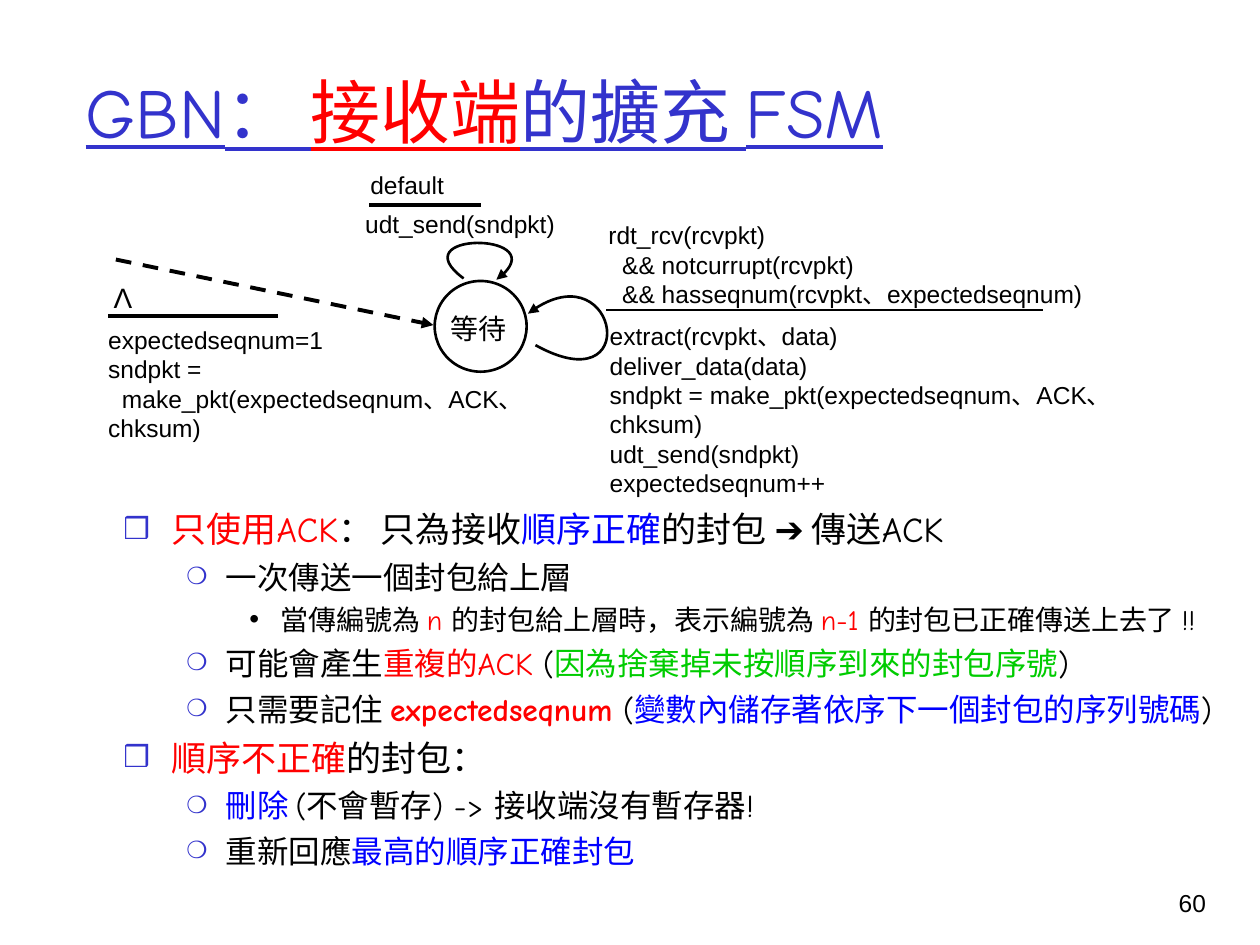
"""Build the slide on the receiver side of the GBN state machine."""
from typing import NamedTuple

from lxml import etree
from pptx import Presentation
from pptx import util as u
from pptx.dml.color import RGBColor
from pptx.enum import dml, shapes, text
from pptx.oxml import ns

BLACK, RED, BLUE, GREEN, NAVY = "000000", "FF0000", "0000FF", "00CC00", "3333CC"
HAND, SANS = "Comic Neue", "Arial"
LEFT, MID, RIGHT = text.PP_ALIGN.LEFT, text.PP_ALIGN.CENTER, text.PP_ALIGN.RIGHT


class Span(NamedTuple):
    words: str
    hue: str = BLACK
    bold: bool = False
    face: str = ""


class Level(NamedTuple):
    size: int
    left: float
    hang: float
    gap: float
    mark: str
    hue: str
    scale: int


class Item(NamedTuple):
    level: int
    spans: list[Span]


class Label(NamedTuple):
    box: tuple[float, float, float, float]
    lines: list[str]
    size: int = 14
    align: text.PP_ALIGN = LEFT
    wrap: bool = True
    inset: tuple[int, ...] = ()


class Rule(NamedTuple):
    start: tuple[float, float]
    end: tuple[float, float]
    width: float = 2.25
    arrow: bool = False


class Loop(NamedTuple):
    start: tuple[float, float]
    bends: list[tuple[float, float]]


LEVELS = [
    Level(20, 0.38, 0.38, 5, "❒", NAVY, 85),
    Level(18, 0.81, 0.31, 4.5, "❍", NAVY, 75),
    Level(16, 1.25, 0.25, 4, "•", BLACK, 100),
]
TITLE = [Span("GBN： ", NAVY), Span("接收端", RED), Span("的擴充 FSM", NAVY)]
ITEMS = [
    Item(0, [Span("只使用ACK", RED), Span("： 只為接收"), Span("順序正確", BLUE),
             Span("的封包 "), Span("➔ ", face=SANS), Span("傳送ACK")]),
    Item(1, [Span("一次傳送一個封包給上層")]),
    Item(2, [Span("當傳編號為 "), Span("n ", RED), Span("的封包給上層時，表示編號為 "),
             Span("n-1 ", RED), Span("的封包已正確傳送上去了 !!")]),
    Item(1, [Span("可能會產生"), Span("重複的ACK", RED), Span(" ("),
             Span("因為捨棄掉未按順序到來的封包序號", GREEN), Span(")")]),
    Item(1, [Span("只需要記住 "), Span("expectedseqnum", RED, True), Span(" ("),
             Span("變數內儲存著依序下一個封包的序列號碼", BLUE), Span(")")]),
    Item(0, [Span("順序不正確", RED), Span("的封包：")]),
    Item(1, [Span("刪除 ", BLUE), Span("(不會暫存) -> 接收端沒有暫存器!")]),
    Item(1, [Span("重新回應"), Span("最高的順序正確封包", BLUE)]),
]
LABELS = [
    Label((3.36, 2.42, 0.87, 0.26), ["等待"], 16, MID),
    Label((2.8, 1.61, 1.77, 0.34), ["udt_send(sndpkt)"]),
    Label((2.84, 1.3, 0.79, 0.27), ["default"]),
    Label((4.73, 1.7, 4.61, 0.62),
          ["rdt_rcv(rcvpkt)", "&& notcurrupt(rcvpkt)",
           "&& hasseqnum(rcvpkt、expectedseqnum)"], inset=(1, 2)),
    Label((4.74, 2.5, 4.72, 0.94),
          ["extract(rcvpkt、data)", "deliver_data(data)",
           "sndpkt = make_pkt(expectedseqnum、ACK、chksum)",
           "udt_send(sndpkt)", "expectedseqnum++"]),
    Label((0.76, 2.53, 3.98, 1.07),
          ["expectedseqnum=1", "sndpkt =",
           "make_pkt(expectedseqnum、ACK、chksum)"], inset=(2,)),
    Label((0.8, 2.18, 0.35, 0.37), ["Λ"], 16, MID, False),
    Label((8.93, 7, 0.74, 0.5), ["60"], 14, RIGHT),
]
RULES = [
    Rule((0.92, 2.06), (3.44, 2.58), arrow=True),
    Rule((2.93, 1.63), (3.82, 1.63)),
    Rule((4.81, 2.46), (8.28, 2.46), 1.5),
    Rule((0.86, 2.51), (2.21, 2.51)),
]
LOOPS = [
    Loop((4.25, 2.74), [(5.1, 3.21), (4.9, 1.95), (4.19, 2.49)]),
    Loop((3.68, 2.21), [(3.18, 1.84), (4.45, 1.84), (3.94, 2.22)]),
]


def tint(target, hue: str) -> None:
    """Colour a font, or a fill that is already solid."""
    color = target.color if hasattr(target, "color") else target.fore_color
    color.rgb = RGBColor.from_string(hue)


def place(shape, box: tuple) -> None:
    """Move and size a shape."""
    shape.left, shape.top, shape.width, shape.height = map(u.Inches, box)


def sub(node, tag: str, **attrs: str):
    """Append a drawing element."""
    return etree.SubElement(node, ns.qn(f"a:{tag}"), attrs)


def ink(shape, width: float, arrow: bool = False) -> None:
    """Give a black outline and maybe an arrowhead."""
    tint(shape.line.fill if shape.line.fill.solid() else shape.line, BLACK)
    shape.line.width = u.Pt(width)
    if arrow:
        sub(shape.line._get_or_add_ln(), "tailEnd", type="triangle")


def write(par, spans: list[Span], size: int) -> None:
    """Fill a paragraph with coloured runs."""
    par.font.size, par.font.name = u.Pt(size), HAND
    for span in spans:
        run = par.add_run()
        run.text = span.words
        tint(run.font, span.hue)
        if span.bold:
            run.font.bold = True
        if span.face:
            run.font.name = span.face


def draw_list(frame, items: list[Item]) -> None:
    """Write the bulleted list."""
    frame.auto_size = text.MSO_AUTO_SIZE.NONE
    for i, item in enumerate(items):
        par = frame.add_paragraph() if i else frame.paragraphs[0]
        level = LEVELS[item.level]
        par.level = item.level
        props = par._p.get_or_add_pPr()
        props.set("marL", str(u.Inches(level.left)))
        props.set("indent", str(-u.Inches(level.hang)))
        sub(sub(props, "buClr"), "srgbClr", val=level.hue)
        sub(props, "buSzPct", val=str(level.scale * 1000))
        sub(props, "buFont", typeface=SANS)
        sub(props, "buChar", char=level.mark)
        par.space_before = u.Pt(level.gap if i else 0)
        write(par, item.spans, level.size)


def draw_label(slide, label: Label) -> None:
    """Add a plain text box."""
    frame = slide.shapes.add_textbox(*map(u.Inches, label.box)).text_frame
    frame.word_wrap = label.wrap
    for i, line in enumerate(label.lines):
        par = frame.add_paragraph() if i else frame.paragraphs[0]
        par.text, par.alignment = line, label.align
        if i in label.inset:
            par._p.get_or_add_pPr().set("indent", str(u.Inches(0.11)))
        par.font.size, par.font.name = u.Pt(label.size), SANS
        tint(par.font, BLACK)


def draw_rule(slide, rule: Rule) -> None:
    """Add a straight line, dashed when it is an arrow."""
    line = slide.shapes.add_connector(
        shapes.MSO_CONNECTOR.STRAIGHT, *map(u.Inches, rule.start + rule.end))
    if rule.arrow:
        line.line.dash_style = dml.MSO_LINE.DASH
    ink(line, rule.width, rule.arrow)
    sub(line._element.spPr, "effectLst")


def draw_loop(slide, loop: Loop) -> None:
    """Add an open curve with an arrowhead."""
    pen = slide.shapes.build_freeform(*map(u.Inches, loop.start))
    pen.add_line_segments([tuple(map(u.Inches, p)) for p in loop.bends], close=False)
    shape = pen.convert_to_shape()
    track = shape._element.find(".//" + ns.qn("a:path"))
    legs = track.findall(ns.qn("a:lnTo"))
    curve = sub(track, "cubicBezTo")
    for leg in legs:
        curve.append(leg[0])
        track.remove(leg)
    shape.fill.background()
    shape.shadow.inherit = False
    ink(shape, 1.5, True)


def main() -> None:
    """Build and save the slide."""
    deck = Presentation()
    deck.slide_width, deck.slide_height = u.Inches(10), u.Inches(7.5)
    slide = deck.slides.add_slide(deck.slide_layouts[1])
    title, body = slide.shapes.title, slide.placeholders[1]
    place(title, (0.58, 0.25, 8.5, 1.25))
    title.text_frame.auto_size = text.MSO_AUTO_SIZE.NONE
    head = title.text_frame.paragraphs[0]
    head.alignment, head.font.underline = LEFT, True
    write(head, TITLE, 40)
    place(body, (0.88, 3.98, 8.91, 3.52))
    draw_list(body.text_frame, ITEMS)
    state = slide.shapes.add_shape(
        shapes.MSO_SHAPE.OVAL, *map(u.Inches, (3.45, 2.23, 0.73, 0.72)))
    state.fill.solid()
    tint(state.fill, "FFFFFF")
    state.shadow.inherit = False
    ink(state, 1.5)
    for rows, draw in ((RULES, draw_rule), (LOOPS, draw_loop), (LABELS, draw_label)):
        for row in rows:
            draw(slide, row)
    deck.save("out.pptx")


if __name__ == "__main__":
    main()
